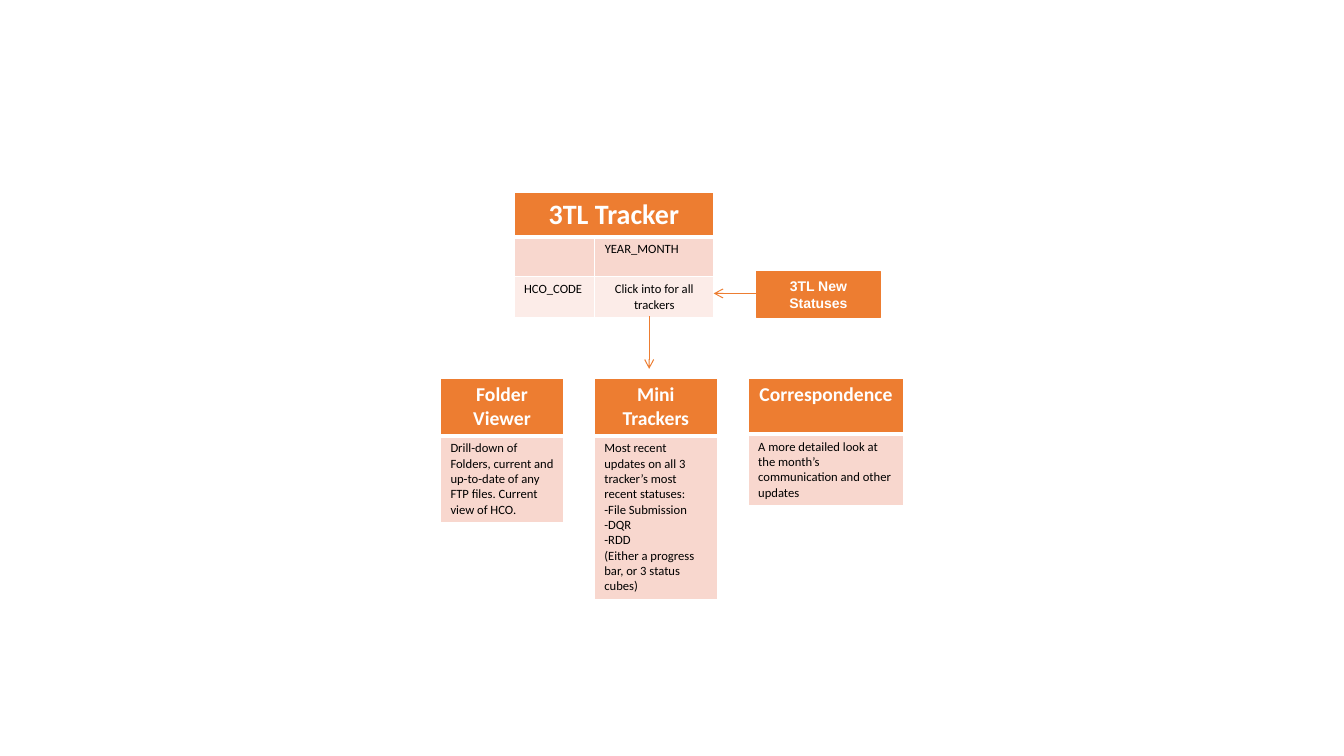
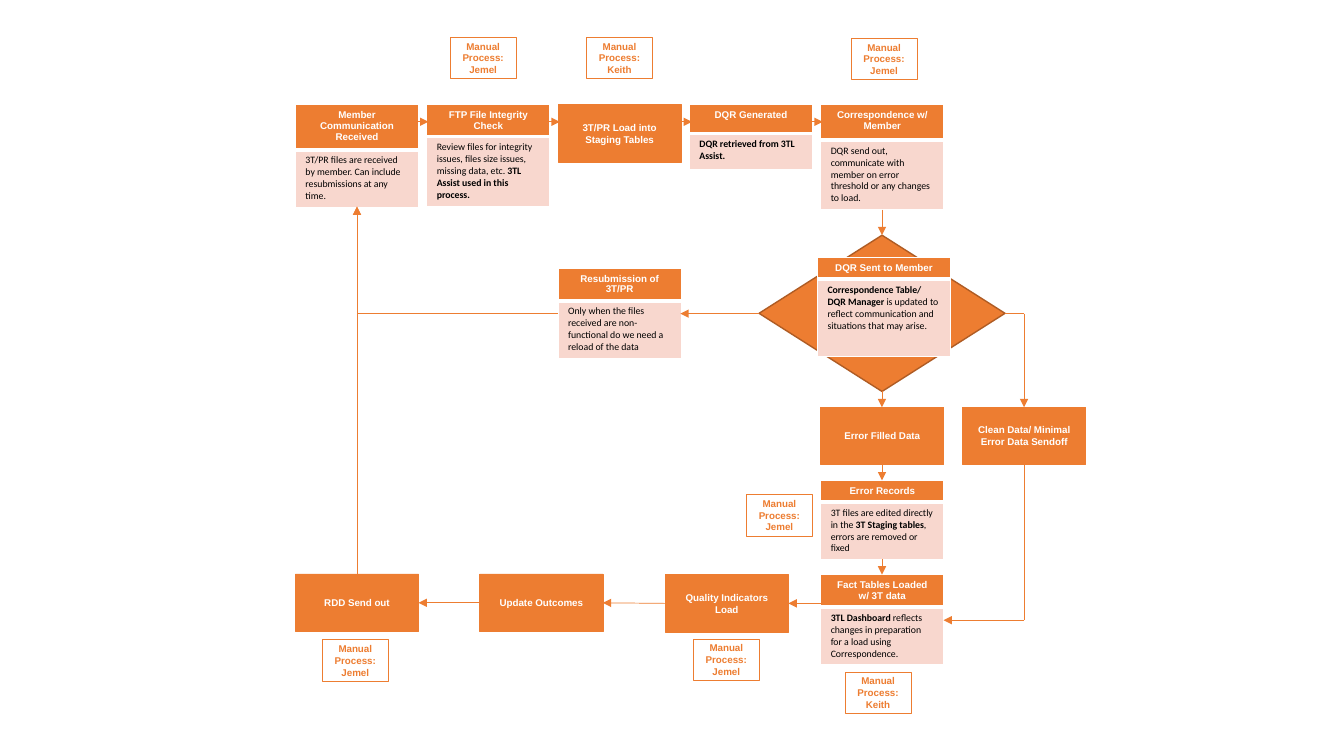
"""Build two slides: the tracker overview and the member data process flow."""
from dataclasses import dataclass

from lxml import etree
from pptx import Presentation
from pptx.dml.color import RGBColor
from pptx.enum import shapes, text
from pptx.oxml import ns
from pptx.util import Pt


@dataclass(frozen=True)
class Theme:
    orange: str = "ED7D31"
    rust: str = "AF5C24"
    blush: str = "F8D7CE"
    pale: str = "FCECE8"
    white: str = "FFFFFF"
    black: str = "000000"
    box_font: str = "Arial"
    body_font: str = "Calibri"
    title: int = 20
    heading: int = 14
    label: int = 10
    body: int = 9
    small: int = 7
    thin: float = 0.5
    medium: float = 0.75
    border: float = 1
    rule: float = 3


THEME = Theme()
CENTER, LEFT = text.PP_ALIGN.CENTER, text.PP_ALIGN.LEFT

TRACKER_ROWS = [["3TL Tracker", ""], ["", "YEAR_MONTH"], ["HCO_CODE", "Click into for all trackers"]]
NEW_STATUSES = (540.6, 194, 88, 33, "3TL New Statuses")
OVERVIEW_ARROWS = [[(540.6, 209.6), (509.8, 209.6)], [(463.7, 226), (463.7, 263.5)]]
CARD_LEFT, CARD_TOP, CARD_PITCH = 314.6, 270, 109.9
CARDS = [
    ("Folder Viewer", 88, (41.4, 62),
     ["Drill-down of Folders, current and up-to-date of any FTP files. Current view of HCO."]),
    ("Mini Trackers", 88, (41.4, 117),
     ["Most recent updates on all 3 tracker’s most recent statuses:", "-File Submission", "-DQR",
      "-RDD", "(Either a progress bar, or 3 status cubes)"]),
    ("Correspondence", 111.4, (40.2, 51),
     ["A more detailed look at the month’s communication and other updates"]),
]

STEP_WIDTH, STEP_HEIGHT = 88, 41
COLUMNS = [211 + 93.8 * index for index in range(5)]
RETURN_X, SPINE_X, CLEAN_X = 255, 630, 731.5
DECISION = (542.2, 168, 175.7, 111.6)
FLOW_STEPS = [
    (COLUMNS[2], 74.7, "3T/PR Load into Staging Tables"),
    (COLUMNS[4], 290.9, "Error Filled Data"),
    (687.6, 290.9, "Clean Data/ Minimal Error Data Sendoff"),
    (COLUMNS[0], 410, "RDD Send out"),
    (342.7, 410, "Update Outcomes"),
    (475.2, 410.4, "Quality Indicators Load"),
]
FLOW_CARDS = [
    (COLUMNS[0], 74.5, STEP_WIDTH, (32.4, 40.5), "Member Communication Received",
     [("3T/PR files are received by member. Can include resubmissions at any time.", False)]),
    (COLUMNS[1], 74.5, STEP_WIDTH, (23, 50), "FTP File Integrity Check",
     [("Review files for integrity issues, files size issues, missing data, etc. ", False),
      ("3TL Assist used in this process.", True)]),
    (COLUMNS[3], 74.5, STEP_WIDTH, (20.9, 26), "DQR Generated",
     [("DQR retrieved from 3TL Assist.", True)]),
    (COLUMNS[4], 74.5, STEP_WIDTH, (25.4, 49.5), "Correspondence w/ Member",
     [("DQR send out, communicate with member on error threshold or any changes to load.", False)]),
    (COLUMNS[2], 191.5, STEP_WIDTH, (23.3, 41.4), "Resubmission of 3T/PR",
     [("Only when the files received are non-functional do we need a reload of the data", False)]),
    (583.9, 184.2, 95, (15.3, 55.3), "DQR Sent to Member",
     [("Correspondence Table/ DQR Manager ", True),
      ("is updated to reflect communication and situations that may arise.", False)]),
    (COLUMNS[4], 343.2, STEP_WIDTH, (15.3, 41), "Error Records",
     [("3T files are edited directly in the", False), (" 3T Staging tables", True),
      (", errors are removed or fixed", False)]),
    (COLUMNS[4], 410.4, STEP_WIDTH, (23.3, 41.4), "Fact Tables Loaded w/ 3T data",
     [("3TL Dashboard ", True),
      ("reflects changes in preparation for a load using Correspondence.", False)]),
]
MANUAL_TAGS = [
    (321.6, 26.7, "Jemel"), (419, 26.7, "Keith"), (608, 27.3, "Jemel"), (533.2, 353.3, "Jemel"),
    (230.3, 457, "Jemel"), (495.3, 456.5, "Jemel"), (603.7, 480, "Keith"),
]
FLOW_ROUTES = [
    *[[(start, 87), (start + 14.4, 87)] for start in (291.6, 385.5, 479.9, 573.3)],
    [(SPINE_X, 149.8), (SPINE_X, 168)],
    [(SPINE_X, 279.6), (SPINE_X, 290.9)],
    [(SPINE_X, 331.9), (SPINE_X, 343.2)],
    [(SPINE_X, 399.6), (SPINE_X, 410.4)],
    [(542.2, 224), (486, 224)],
    [(398.4, 224), (RETURN_X, 224), (RETURN_X, 147.6)],
    [(717.9, 224), (CLEAN_X, 224), (CLEAN_X, 290.9)],
    [(CLEAN_X, 331.9), (CLEAN_X, 443), (674, 443)],
    [(597.6, 431), (563.2, 431)],
    [(475.2, 431), (430.6, 430.6)],
    [(342.7, 430.6), (299, 430.6)],
    [(RETURN_X, 410), (RETURN_X, 147.6)],
]


def points(*lengths):
    return [Pt(length) for length in lengths]


def write(frame, paragraphs, size, font, color, align):
    for index, runs in enumerate(paragraphs):
        para = frame.paragraphs[0] if index == 0 else frame.add_paragraph()
        para.alignment = align
        for words, bold in runs:
            span = para.add_run()
            span.text = words
            span.font.size = Pt(size)
            span.font.name = font
            span.font.bold = bold
            span.font.color.rgb = RGBColor.from_string(color)


def add_box(page, place, words="", size=THEME.small, fill=THEME.orange, ink=THEME.white,
            line=THEME.orange, width=THEME.thin, kind=shapes.MSO_SHAPE.RECTANGLE):
    box = page.shapes.add_shape(kind, *points(*place))
    box.shadow.inherit = False
    box.fill.solid()
    box.fill.fore_color.rgb = RGBColor.from_string(fill)
    box.line.color.rgb = RGBColor.from_string(line)
    box.line.width = Pt(width)
    if words:
        box.text_frame.word_wrap = True
        box.text_frame.vertical_anchor = text.MSO_ANCHOR.MIDDLE
        write(box.text_frame, [[(words, True)]], size, THEME.box_font, ink, CENTER)


def add_route(page, stops, width=THEME.thin, arrow="triangle"):
    legs = list(zip(stops, stops[1:]))
    for index, (start, end) in enumerate(legs, 1):
        leg = page.shapes.add_connector(shapes.MSO_CONNECTOR.STRAIGHT, *points(*start, *end))
        leg.line.color.rgb = RGBColor.from_string(THEME.orange)
        leg.line.width = Pt(width)
        if index == len(legs):
            etree.SubElement(leg.line._get_or_add_ln(), ns.qn("a:tailEnd"), type=arrow)
        etree.SubElement(leg._element.spPr, ns.qn("a:effectLst"))


def style_cell(cell, fill, bottom):
    cell.fill.solid()
    cell.fill.fore_color.rgb = RGBColor.from_string(fill)
    properties = cell._tc.get_or_add_tcPr()
    for index, side in enumerate("LRTB"):
        width = bottom if side == "B" else THEME.border
        edge = etree.Element(ns.qn(f"a:ln{side}"), w=str(Pt(width)))
        paint = etree.SubElement(edge, ns.qn("a:solidFill"))
        etree.SubElement(paint, ns.qn("a:srgbClr"), val=THEME.white)
        properties.insert(index, edge)


def add_grid(page, left, top, widths, heights):
    place = points(left, top, sum(widths), sum(heights))
    table = page.shapes.add_table(len(heights), len(widths), *place).table
    table.first_row = table.horz_banding = False
    for column, width in zip(table.columns, widths):
        column.width = Pt(width)
    for index, (row, height) in enumerate(zip(table.rows, heights)):
        row.height = Pt(height)
        fill = (THEME.orange, THEME.blush, THEME.pale)[index]
        for cell in row.cells:
            style_cell(cell, fill, THEME.border if index else THEME.rule)
    return table


def add_card(page, left, top, width, heights, heading, paragraphs, sizes, heading_font):
    table = add_grid(page, left, top, [width], heights)
    write(table.cell(0, 0).text_frame, [[(heading, True)]], sizes[0], heading_font, THEME.white, CENTER)
    write(table.cell(1, 0).text_frame, paragraphs, sizes[1], THEME.body_font, THEME.black, LEFT)


def add_tracker(page):
    table = add_grid(page, 367.2, 137.5, (57.6, 85), (31.6, 28.5, 28.5))
    table.cell(0, 0).merge(table.cell(0, 1))
    for row, entries in enumerate(TRACKER_ROWS):
        for column, words in enumerate(entries):
            frame = table.cell(row, column).text_frame
            if not words:
                frame.paragraphs[0].font.size = Pt(THEME.body)
            elif row == 0:
                write(frame, [[(words, True)]], THEME.title, THEME.body_font, THEME.white, CENTER)
            else:
                align = CENTER if (row, column) == (2, 1) else LEFT
                write(frame, [[(words, False)]], THEME.body, THEME.body_font, THEME.black, align)


def build_overview(page):
    add_tracker(page)
    *place, words = NEW_STATUSES
    add_box(page, place, words, THEME.label)
    for index, (heading, width, heights, lines) in enumerate(CARDS):
        add_card(page, CARD_LEFT + CARD_PITCH * index, CARD_TOP, width, heights, heading,
                 [[(line, False)] for line in lines], (THEME.heading, THEME.body), THEME.body_font)
    for stops in OVERVIEW_ARROWS:
        add_route(page, stops, THEME.medium, "arrow")


def build_flow(page):
    add_box(page, DECISION, line=THEME.rust, width=THEME.border,
            kind=shapes.MSO_SHAPE.FLOWCHART_DECISION)
    for left, top, words in FLOW_STEPS:
        add_box(page, (left, top, STEP_WIDTH, STEP_HEIGHT), words)
    for left, top, width, heights, heading, runs in FLOW_CARDS:
        add_card(page, left, top, width, heights, heading, [runs],
                 (THEME.small, THEME.small), THEME.box_font)
    for left, top, person in MANUAL_TAGS:
        add_box(page, (left, top, 47, 29.5), f"Manual Process: {person}",
                fill=THEME.white, ink=THEME.orange)
    for stops in FLOW_ROUTES:
        add_route(page, stops)


def main():
    deck = Presentation()
    deck.slide_width, deck.slide_height = points(960, 540)
    for build in (build_overview, build_flow):
        build(deck.slides.add_slide(deck.slide_layouts[6]))
    deck.save("out.pptx")


if __name__ == "__main__":
    main()
